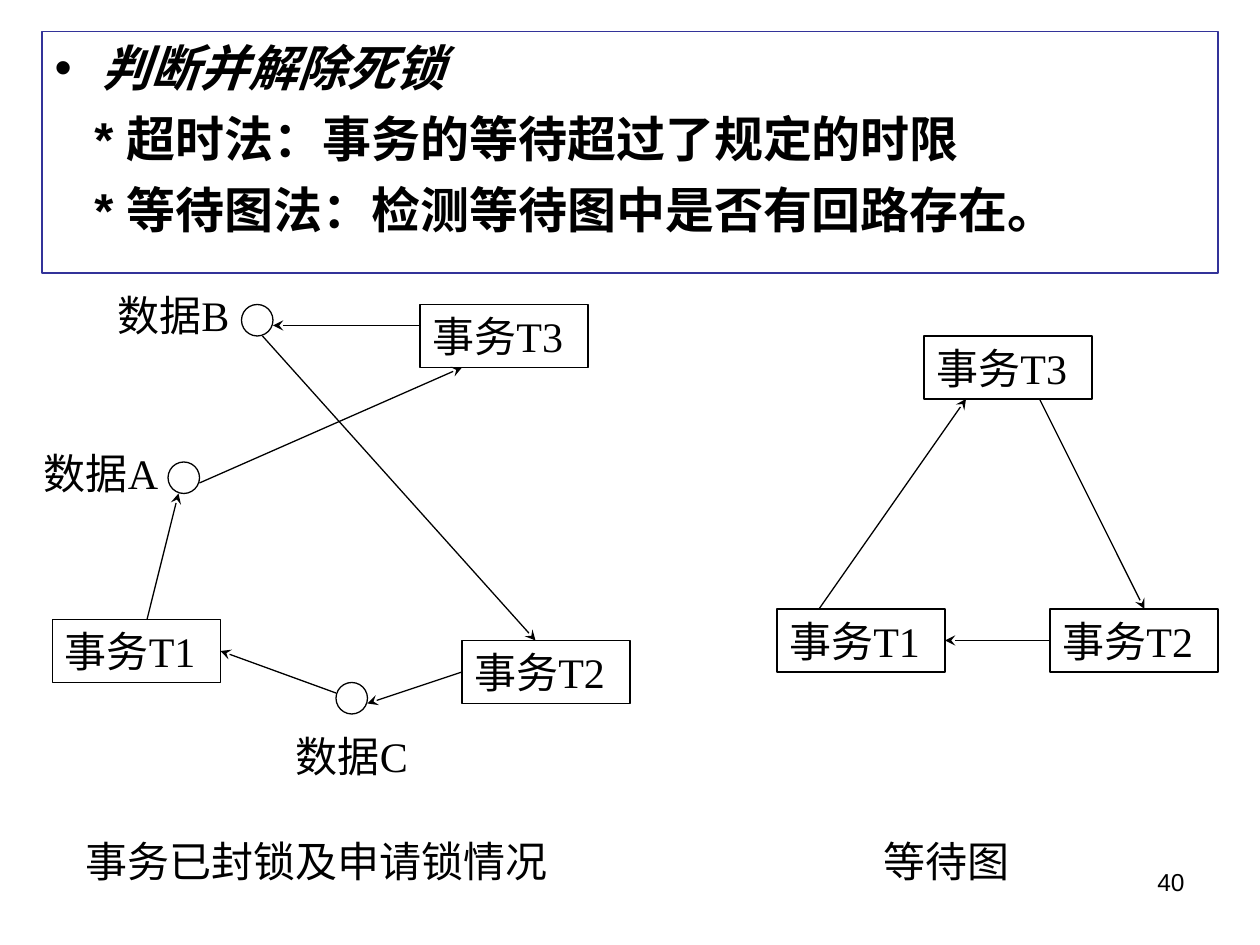
"""Build the slide on detecting deadlocks with a lock diagram and its wait-for graph."""

from dataclasses import dataclass
from typing import Optional

import pptx
import pptx.dml.color
import pptx.enum.shapes
import pptx.enum.text
import pptx.oxml.ns
import pptx.oxml.xmlchemy
import pptx.util
from lxml import etree
from pptx.enum.shapes import MSO_SHAPE
from pptx.enum.text import MSO_ANCHOR, MSO_AUTO_SIZE, PP_ALIGN

BLACK = pptx.dml.color.RGBColor(0x00, 0x00, 0x00)
WHITE = pptx.dml.color.RGBColor(0xFF, 0xFF, 0xFF)
FRAME_BLUE = pptx.dml.color.RGBColor(0x33, 0x33, 0x99)
LINE_WIDTH = pptx.util.Pt(0.75)
GRID_CM = 2.54 / 12
LEFT_SIDE, RIGHT_SIDE = 1, 3
BOX_WIDTH, BOX_HEIGHT, CIRCLE_SIZE = 16, 6, 3


@dataclass(frozen=True)
class Transaction:
    name: str
    left: float
    top: float


@dataclass(frozen=True)
class Label:
    text: str
    left: float
    top: float
    width: float
    height: float = 6


@dataclass(frozen=True)
class Arrow:
    start: tuple[float, float]
    end: tuple[float, float]
    source: Optional[str] = None
    target: Optional[str] = None


@dataclass(frozen=True)
class Diagram:
    circles: list[tuple[float, float]]
    transactions: list[Transaction]
    labels: list[Label]
    arrows: list[Arrow]


LOCK_DIAGRAM = Diagram(
    circles=[(16, 44), (23, 29), (32, 65)],
    transactions=[
        Transaction("事务T1", 5, 59),
        Transaction("事务T2", 44, 61),
        Transaction("事务T3", 40, 29),
    ],
    labels=[
        Label("数据A", 3, 42, 14, 10.8),
        Label("数据B", 10, 27, 14),
        Label("数据C", 27, 69, 14),
        Label("事务已封锁及申请锁情况", 7, 79, 47),
    ],
    arrows=[
        Arrow((14, 59), (17, 47)),
        Arrow((32, 66), (21, 62), target="事务T1"),
        Arrow((44, 64), (35, 67), source="事务T2"),
        Arrow((25, 32), (51, 61)),
        Arrow((40, 31), (26, 31)),
        Arrow((19, 46), (44, 35)),
    ],
)

WAIT_GRAPH = Diagram(
    circles=[],
    transactions=[
        Transaction("事务T1", 74, 58),
        Transaction("事务T2", 100, 58),
        Transaction("事务T3", 88, 32),
    ],
    labels=[Label("等待图", 83, 79, 28)],
    arrows=[
        Arrow((78, 58), (92, 38)),
        Arrow((99, 38), (109, 58)),
        Arrow((100, 61), (90, 61), source="事务T2", target="事务T1"),
    ],
)

BODY_LINES = [
    "判断并解除死锁",
    "* 超时法：事务的等待超过了规定的时限",
    "* 等待图法：检测等待图中是否有回路存在。",
]


def grid(*steps: float) -> list[pptx.util.Cm]:
    """Turn grid steps into lengths."""
    return [pptx.util.Cm(step * GRID_CM) for step in steps]


def style_font(font, size: float, name: str) -> None:
    """Give a font its size, face and black colour."""
    font.size = pptx.util.Pt(size)
    font.name = name
    font.color.rgb = BLACK


def write_text(shape, text: str, size: float = 24, name: str = "Times New Roman",
               alignment: PP_ALIGN = PP_ALIGN.LEFT) -> None:
    """Put one wrapped paragraph at the top of a shape."""
    text_frame = shape.text_frame
    text_frame.word_wrap = True
    text_frame.vertical_anchor = MSO_ANCHOR.TOP
    text_frame.text = text
    paragraph = text_frame.paragraphs[0]
    paragraph.alignment = alignment
    style_font(paragraph.runs[0].font, size, name)


def draw_outline(shapes, kind: MSO_SHAPE, left: float, top: float, width: float, height: float):
    """Draw an unfilled shape with a thin black outline."""
    shape = shapes.add_shape(kind, *grid(left, top, width, height))
    shape.shadow.inherit = False
    shape.fill.background()
    shape.line.color.rgb = BLACK
    shape.line.width = LINE_WIDTH
    return shape


def draw_arrow(shapes, arrow: Arrow, boxes: dict) -> None:
    """Draw an arrow, joined to the boxes it names."""
    connector = shapes.add_connector(
        pptx.enum.shapes.MSO_CONNECTOR.STRAIGHT, *grid(*arrow.start, *arrow.end))
    if arrow.source:
        connector.begin_connect(boxes[arrow.source], LEFT_SIDE)
    if arrow.target:
        connector.end_connect(boxes[arrow.target], RIGHT_SIDE)
    connector.line.color.rgb = BLACK
    connector.line.width = LINE_WIDTH
    line = connector.line._get_or_add_ln()
    etree.SubElement(line, pptx.oxml.ns.qn("a:tailEnd"), type="stealth")
    etree.SubElement(connector._element.spPr, pptx.oxml.ns.qn("a:effectLst"))


def draw_diagram(slide, diagram: Diagram) -> None:
    """Draw a diagram as one group."""
    shapes = slide.shapes.add_group_shape().shapes
    for left, top in diagram.circles:
        draw_outline(shapes, MSO_SHAPE.OVAL, left, top, CIRCLE_SIZE, CIRCLE_SIZE)
    boxes = {}
    for transaction in diagram.transactions:
        box = draw_outline(shapes, MSO_SHAPE.RECTANGLE, transaction.left, transaction.top,
                           BOX_WIDTH, BOX_HEIGHT)
        write_text(box, transaction.name)
        boxes[transaction.name] = box
    for label in diagram.labels:
        textbox = shapes.add_textbox(*grid(label.left, label.top, label.width, label.height))
        write_text(textbox, label.text)
    for arrow in diagram.arrows:
        draw_arrow(shapes, arrow, boxes)


def fill_body(body) -> None:
    """Frame the body placeholder and write its list."""
    body.left, body.top, body.width, body.height = grid(4, 3, 112, 23)
    body.fill.solid()
    body.fill.fore_color.rgb = WHITE
    body.line.color.rgb = FRAME_BLUE
    body.line.width = LINE_WIDTH
    text_frame = body.text_frame
    text_frame.text = "\n".join(BODY_LINES)
    text_frame.auto_size = MSO_AUTO_SIZE.NONE
    for index, paragraph in enumerate(text_frame.paragraphs):
        paragraph.space_before = pptx.util.Pt(7 if index else 0)
        if index:
            properties = paragraph._p.get_or_add_pPr()
            properties.set("marL", str(pptx.util.Cm(0.8)))
            properties.set("indent", "0")
            etree.SubElement(properties, pptx.oxml.ns.qn("a:buNone"))
        font = paragraph.runs[0].font
        style_font(font, 28, "Arial")
        font.bold = True
        font.italic = index == 0


def main() -> None:
    """Build and save the presentation."""
    presentation = pptx.Presentation()
    presentation.slide_width = pptx.util.Cm(25.4)
    presentation.slide_height = pptx.util.Cm(19.05)
    slide = presentation.slides.add_slide(presentation.slide_layouts[1])
    title = slide.shapes.title._element
    title.getparent().remove(title)
    page_number = slide.shapes.add_textbox(*grid(86, 82, 28, 6.25))
    write_text(page_number, "40", 14, "Arial", PP_ALIGN.RIGHT)
    fill_body(slide.placeholders[1])
    draw_diagram(slide, LOCK_DIAGRAM)
    draw_diagram(slide, WAIT_GRAPH)
    presentation.save("out.pptx")


if __name__ == "__main__":
    main()
